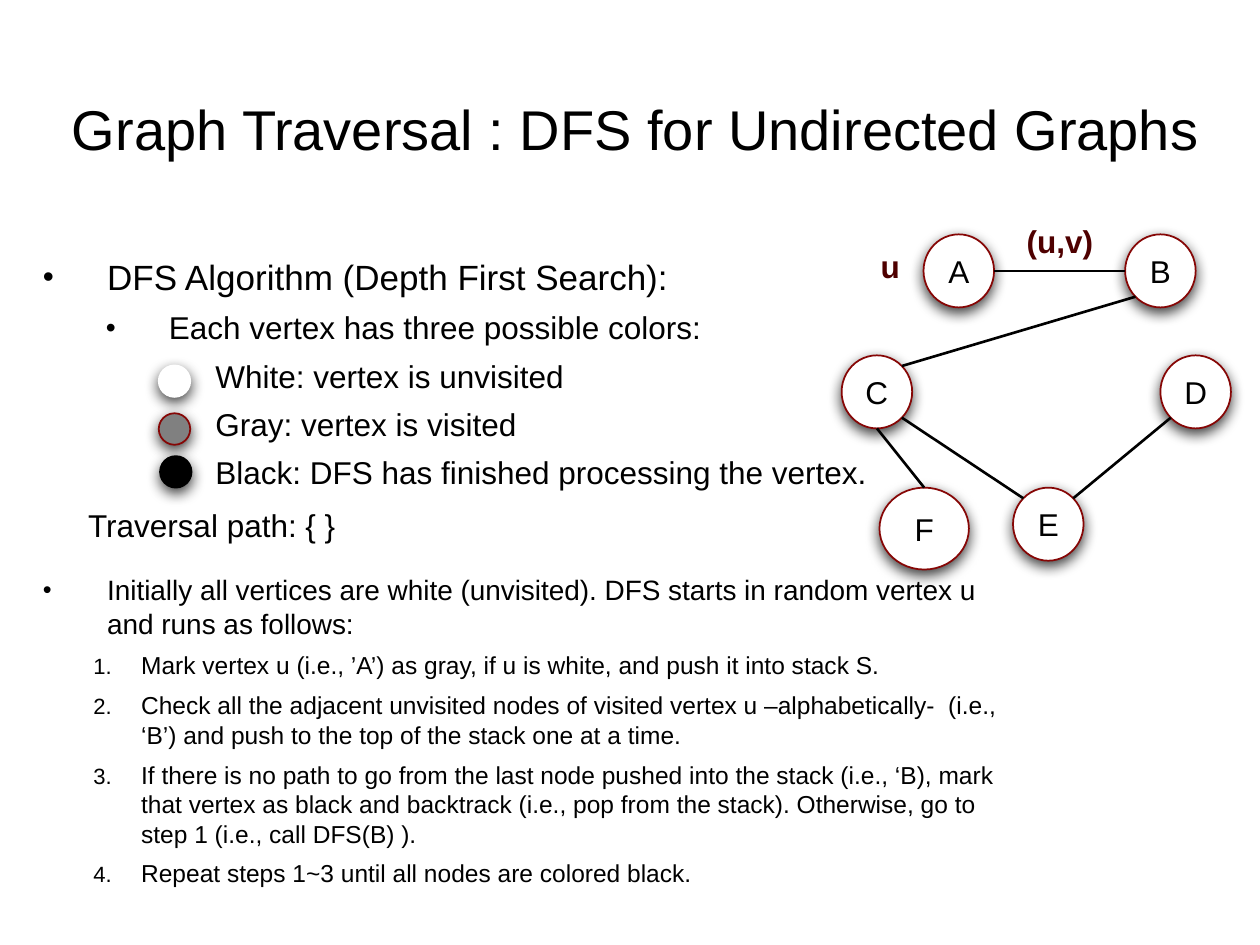
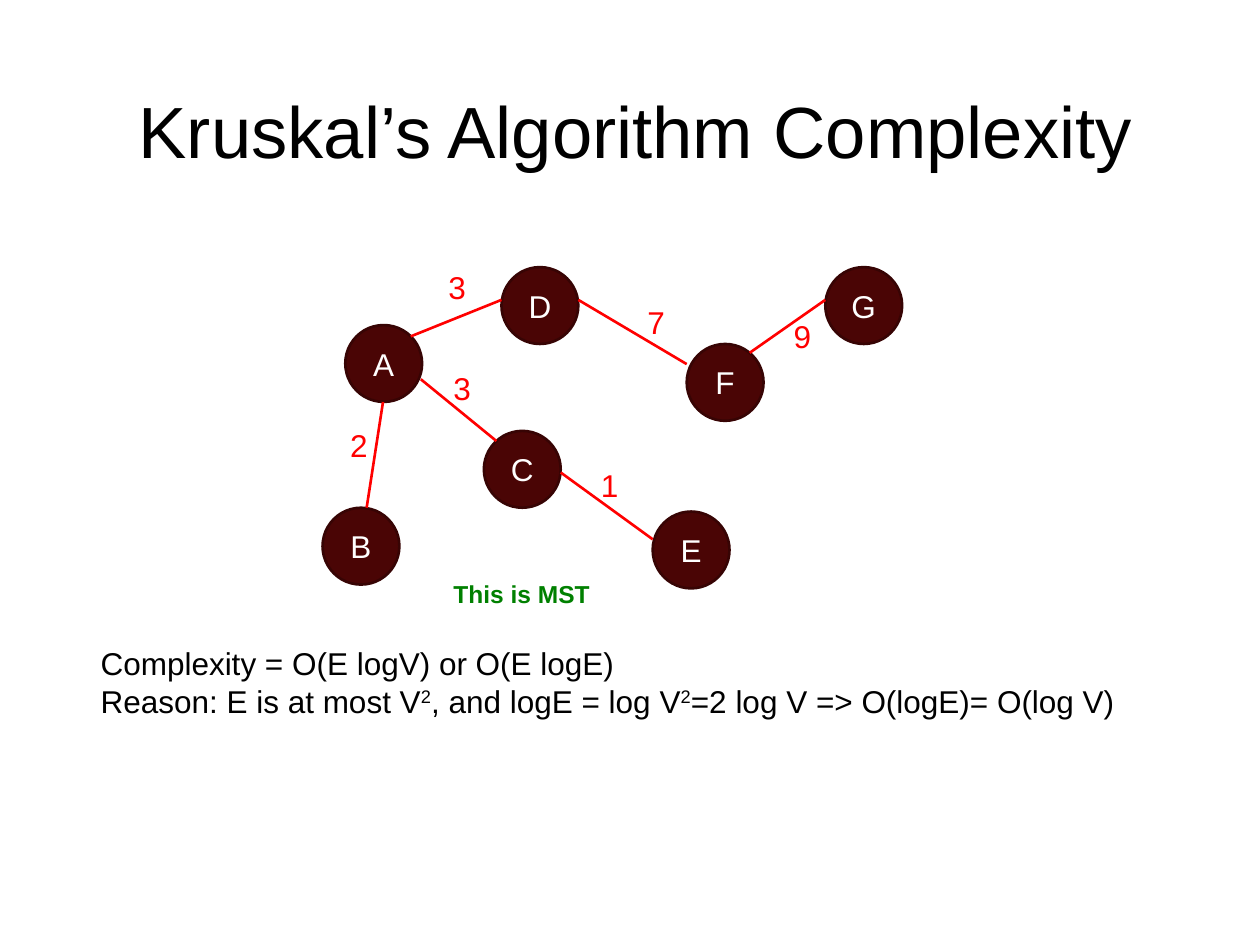
from dataclasses import dataclass

from lxml import etree
from pptx import Presentation
from pptx import util as u
from pptx.dml.color import RGBColor
from pptx.enum import shapes, text
from pptx.oxml import ns

Inches, Pt = u.Inches, u.Pt


@dataclass(frozen=True)
class Theme:
    font: str = "Arial"
    black: str = "000000"
    white: str = "FFFFFF"
    gray: str = "808080"
    ring: str = "860605"
    label: str = "4F0000"
    tree: str = "4A0505"
    tree_ring: str = "370404"
    edge: str = "FF0000"
    note: str = "008000"
    normal: int = 18
    small: int = 14
    thin: float = 1
    thick: float = 1.5


THEME = Theme()

# ---- Content: depth first search ----
DFS_TITLE = ("Graph Traversal : DFS for Undirected Graphs", 32, (0.47, 0.45, 9.28, 1.14))
DFS_BODY = (0.24, 1.98, 7.88, 5.5)
# style: level, left margin, hanging indent, space before, size, marker
LIST_STYLES = {
    "heading": (0, 0.51, 0.51, 20, 20, "•"),
    "point": (1, 1.0, 0.5, 6, 18, "•"),
    "color": (2, 1.37, 0, 6, 18, None),
    "procedure": (0, 0.51, 0.51, 46.7, 16, "•"),
    "step": (1, 0.78, 0.38, 6, 14, "1."),
}
DFS_LIST = [
    ("heading", "DFS Algorithm (Depth First Search):"),
    ("point", "Each vertex has three possible colors:"),
    ("color", "White: vertex is unvisited"),
    ("color", "Gray: vertex is visited"),
    ("color", "Black: DFS has finished processing the vertex."),
    ("procedure", "Initially all vertices are white (unvisited). DFS starts in random "
                  "vertex u and runs as follows:"),
    ("step", "Mark vertex u (i.e., ’A’) as gray, if u is white, and push it into stack S."),
    ("step", "Check all the adjacent unvisited nodes of visited vertex u –alphabetically-  "
             "(i.e., ‘B’) and push to the top of the stack one at a time."),
    ("step", "If there is no path to go from the last node pushed into the stack (i.e., ‘B), "
             "mark that vertex as black and backtrack (i.e., pop from the stack). Otherwise, "
             "go to step 1 (i.e., call DFS(B) )."),
    ("step", "Repeat steps 1~3 until all nodes are colored black."),
]
VERTEX = (0.56, 0.58)
DFS_VERTICES = {
    "A": (7.33, 1.86, *VERTEX),
    "B": (8.93, 1.86, *VERTEX),
    "C": (6.68, 2.82, *VERTEX),
    "D": (9.21, 2.82, *VERTEX),
    "E": (8.04, 3.87, *VERTEX),
    "F": (6.98, 3.87, 0.71, 0.65),
}
# vertex and compass side at each end
DFS_EDGES = [
    ("A", "e", "B", "w"),
    ("D", "sw", "E", "ne"),
    ("E", "nw", "C", "se"),
    ("B", "sw", "C", "ne"),
    ("F", "n", "C", "s"),
]
COLOR_KEYS = [
    ((1.26, 2.9, 0.25, 0.25), THEME.white, THEME.white),
    ((1.26, 3.28, 0.25, 0.25), THEME.gray, THEME.ring),
    ((1.27, 3.62, 0.25, 0.25), THEME.black, THEME.black),
]
DFS_LABELS = [
    ("u", (6.89, 1.91, 0.36, 0.4), THEME.label, True),
    ("(u,v)", (8.05, 1.71, 0.76, 0.4), THEME.label, True),
    ("Traversal path: { }", (0.6, 3.97, 2.29, 0.4), THEME.black, False),
]

# ---- Content: Kruskal ----
KRUSKAL_TITLE = ("Kruskal’s Algorithm Complexity", 41.4, (1, 0.55, 8.46, 0.95))
TREE_SIZE = 0.61
TREE_VERTICES = {
    "A": (2.74, 2.58), "D": (3.98, 2.12), "C": (3.84, 3.42), "F": (5.45, 2.73),
    "G": (6.55, 2.12), "E": (5.18, 4.06), "B": (2.56, 4.03),
}
# weight, label corner, start, end
TREE_EDGES = [
    ("3", (3.46, 2.08), (3.98, 2.38), (3.26, 2.67)),
    ("2", (2.68, 3.33), (2.91, 4.03), (3.04, 3.19)),
    ("7", (5.04, 2.36), (5.45, 2.89), (4.59, 2.38)),
    ("1", (4.67, 3.65), (5.18, 4.28), (4.45, 3.75)),
    ("9", (6.2, 2.47), (6.55, 2.38), (5.95, 2.8)),
    ("3", (3.5, 2.88), (3.94, 3.5), (3.34, 3.01)),
]
TREE_NOTE = ("This is MST", (3.5, 4.55, 2.06, 0.34))
# text between carets is raised
COMPLEXITY = [
    "Complexity = O(E logV) or O(E logE)",
    "Reason: E is at most V^2^, and logE = log V^2^=2 log V => O(logE)= O(log V)",
]
COMPLEXITY_BOX = (0.7, 5.06, 9.04, 0.71)


# ---- Helpers ----
def rgb(value):
    return RGBColor.from_string(value)


def inches(values):
    return [Inches(value) for value in values]


def style_para(para, size, color, bold=False):
    for span in para.runs:
        span.font.name = THEME.font
        span.font.size = Pt(size)
        span.font.bold = bold
        span.font.color.rgb = rgb(color)


def place(shape, box):
    shape.left, shape.top, shape.width, shape.height = inches(box)


def add_page(deck, layout, title):
    page = deck.slides.add_slide(deck.slide_layouts[layout])
    words, size, box = title
    place(page.shapes.title, box)
    frame = page.shapes.title.text_frame
    frame.text = words
    frame.auto_size = text.MSO_AUTO_SIZE.NONE
    frame.vertical_anchor = text.MSO_ANCHOR.MIDDLE
    frame.paragraphs[0].alignment = text.PP_ALIGN.LEFT
    style_para(frame.paragraphs[0], size, THEME.black)
    return page


def add_label(page, words, box, color, bold=False, size=THEME.normal, wrap=False):
    frame = page.shapes.add_textbox(*inches(box)).text_frame
    frame.word_wrap = wrap
    frame.text = words
    style_para(frame.paragraphs[0], size, color, bold)
    return frame


def add_shadow(shape):
    effects = shape._element.spPr.find(ns.qn("a:effectLst"))
    shadow = etree.SubElement(effects, ns.qn("a:outerShdw"), blurRad=str(Pt(8)),
                              dist=str(Pt(3)), dir="5400000", rotWithShape="0")
    color = etree.SubElement(shadow, ns.qn("a:srgbClr"), val=THEME.black)
    etree.SubElement(color, ns.qn("a:alpha"), val="75000")


def add_circle(page, box, fill, line, width, name="", color=THEME.black):
    circle = page.shapes.add_shape(shapes.MSO_SHAPE.OVAL, *inches(box))
    circle.shadow.inherit = False
    circle.fill.solid()
    circle.fill.fore_color.rgb = rgb(fill)
    circle.line.color.rgb = rgb(line)
    circle.line.width = Pt(width)
    if name:
        frame = circle.text_frame
        frame.text = name
        frame.word_wrap = False
        frame.vertical_anchor = text.MSO_ANCHOR.MIDDLE
        frame.paragraphs[0].alignment = text.PP_ALIGN.CENTER
        style_para(frame.paragraphs[0], THEME.normal, color)
    return circle


def add_edge(page, start, end, color):
    edge = page.shapes.add_connector(shapes.MSO_CONNECTOR.STRAIGHT,
                                     *inches(start), *inches(end))
    edge.line.color.rgb = rgb(color)
    edge.line.width = Pt(THEME.thick)
    etree.SubElement(edge._element.spPr, ns.qn("a:effectLst"))


def rim_point(box, side):
    """Point on an ellipse in a compass direction."""
    left, top, width, height = box
    across = ("e" in side) - ("w" in side)
    down = ("s" in side) - ("n" in side)
    reach = 0.5 / len(side) ** 0.5
    return (left + width * (0.5 + across * reach), top + height * (0.5 + down * reach))


def style_list_item(para, style):
    level, margin, hanging, before, size, marker = LIST_STYLES[style]
    para.level = level
    para.space_before = Pt(before)
    para.alignment = text.PP_ALIGN.LEFT
    style_para(para, size, THEME.black)
    props = para._p.get_or_add_pPr()
    props.set("marL", str(Inches(margin)))
    props.set("indent", str(-Inches(hanging)))
    if marker is None:
        etree.SubElement(props, ns.qn("a:buNone"))
        return
    etree.SubElement(props, ns.qn("a:buSzPct"), val="90000")
    etree.SubElement(props, ns.qn("a:buFont"), typeface=THEME.font)
    if marker == "1.":
        etree.SubElement(props, ns.qn("a:buAutoNum"), type="arabicPeriod")
    else:
        etree.SubElement(props, ns.qn("a:buChar"), char=marker)


# ---- Pages ----
def build_dfs(deck):
    page = add_page(deck, 1, DFS_TITLE)
    body = page.placeholders[1]
    place(body, DFS_BODY)
    frame = body.text_frame
    frame.text = "\n".join(words for _, words in DFS_LIST)
    frame.auto_size = text.MSO_AUTO_SIZE.NONE
    for para, (style, _) in zip(frame.paragraphs, DFS_LIST):
        style_list_item(para, style)

    # graph
    for name, box in DFS_VERTICES.items():
        add_shadow(add_circle(page, box, THEME.white, THEME.ring, THEME.thin, name))
    for first, first_side, second, second_side in DFS_EDGES:
        add_edge(page, rim_point(DFS_VERTICES[first], first_side),
                 rim_point(DFS_VERTICES[second], second_side), THEME.black)

    # color key and labels
    for box, fill, line in COLOR_KEYS:
        add_shadow(add_circle(page, box, fill, line, THEME.thin))
    for label in DFS_LABELS:
        add_label(page, *label)


def build_kruskal(deck):
    page = add_page(deck, 5, KRUSKAL_TITLE)

    # spanning tree
    for name, corner in TREE_VERTICES.items():
        add_circle(page, (*corner, TREE_SIZE, TREE_SIZE), THEME.tree, THEME.tree_ring,
                   THEME.thick, name, THEME.white)
    for weight, corner, start, end in TREE_EDGES:
        add_edge(page, start, end, THEME.edge)
        add_label(page, weight, (*corner, 0.34, 0.4), THEME.edge)
    add_label(page, *TREE_NOTE, THEME.note, True, THEME.small, wrap=True)

    # complexity
    frame = add_label(page, "", COMPLEXITY_BOX, THEME.black, wrap=True)
    for index, line in enumerate(COMPLEXITY):
        para = frame.add_paragraph() if index else frame.paragraphs[0]
        for part, words in enumerate(line.split("^")):
            span = para.add_run()
            span.text = words
            if part % 2:
                span._r.get_or_add_rPr().set("baseline", "30000")
        style_para(para, THEME.normal, THEME.black)


def main():
    deck = Presentation()
    deck.slide_width, deck.slide_height = Inches(10), Inches(7.5)
    build_dfs(deck)
    build_kruskal(deck)
    deck.save("out.pptx")


if __name__ == "__main__":
    main()
